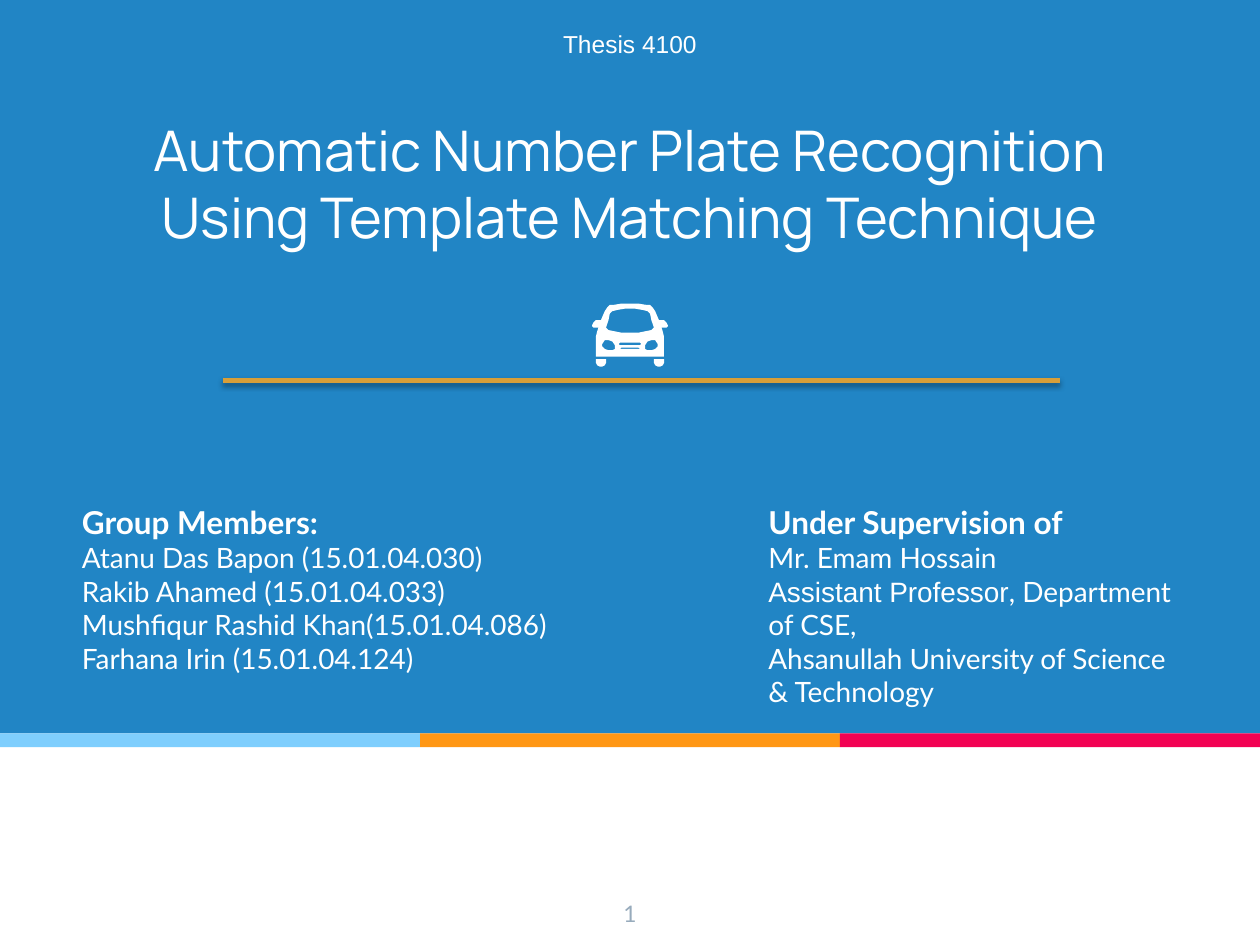
from collections import namedtuple
from dataclasses import dataclass

from lxml import etree
from pptx import Presentation
from pptx import util as u
from pptx.dml.color import RGBColor
from pptx.enum import shapes, text
from pptx.oxml import ns

Box = namedtuple("Box", "left top width height")


@dataclass(frozen=True)
class Theme:
    blue: str = "2185C5"
    white: str = "FFFFFF"
    rule: str = "D89F39"
    number: str = "97ABBC"
    stripes: tuple = ("7ECEFD", "FF9715", "F20253")
    title_font: str = "Manrope"
    body_font: str = "Lato"
    plain_font: str = "Arial"
    title_size: int = 32
    heading_size: int = 18
    body_size: int = 16
    label_size: int = 14
    number_size: int = 13


THEME = Theme()

# Car outlines in hundredths of an inch from the top centre of the car.
# The right half of each symmetric outline is given, from top to bottom.
CAR_BODY = [(0, 0), (7, 0), (13, 1), (16, 1), (18, 3), (20, 6), (23, 13), (27, 13),
            (29, 15), (30, 17), (30, 18), (29, 19), (25, 19), (26, 22), (27, 26), (27, 42)]
WINDSCREEN = [(0, 4), (4, 4), (10, 5), (14, 6), (16, 8), (17, 13), (19, 19),
              (17, 21), (12, 22), (7, 23), (0, 23)]
GRILLE_BARS = [[(8, 31), (9, 32), (8, 33)], [(7, 35), (8, 35.5), (7, 36)]]
HEADLIGHT = [(17, 29), (20, 29), (22, 32), (22, 34), (20, 36), (17, 37),
             (14, 37), (12, 35.5), (12, 33), (14, 30)]
WHEEL = [(19, 44), (19, 47), (20, 49), (22, 50), (24, 50), (26, 49), (27, 47), (27, 44)]


def inches(box):
    return [u.Inches(length) for length in box]


def style_run(run, size, font, color=THEME.white, bold=False):
    run.font.size = u.Pt(size)
    run.font.name = font
    run.font.bold = bold
    run.font.color.rgb = RGBColor.from_string(color)


def style_paragraph(para, size, font, color=THEME.white, bold=False,
                    align=text.PP_ALIGN.LEFT):
    para.alignment = align
    para.space_before = u.Pt(0)
    for run in para.runs:
        style_run(run, size, font, color, bold)


def fill_plain(shape, color):
    shape.shadow.inherit = False
    shape.fill.solid()
    shape.fill.fore_color.rgb = RGBColor.from_string(color)
    shape.line.fill.background()


def place(shape, box):
    shape.left, shape.top, shape.width, shape.height = inches(box)


def add_background(page, box):
    """Blue panel with a row of equal stripes along its lower edge."""
    stripe_height = 0.11
    panel = page.shapes.add_shape(shapes.MSO_SHAPE.RECTANGLE, *inches(box))
    fill_plain(panel, THEME.blue)
    width = box.width / len(THEME.stripes)
    for index, color in enumerate(THEME.stripes):
        stripe_box = Box(box.left + index * width, box.top + box.height, width, stripe_height)
        stripe = page.shapes.add_shape(shapes.MSO_SHAPE.RECTANGLE, *inches(stripe_box))
        fill_plain(stripe, color)


def fill_title(title, box):
    place(title, box)
    frame = title.text_frame
    frame.text = "Automatic Number Plate Recognition Using Template Matching Technique"
    frame.auto_size = text.MSO_AUTO_SIZE.NONE
    frame.vertical_anchor = text.MSO_ANCHOR.BOTTOM
    frame.margin_top = frame.margin_bottom = u.Inches(0.1)
    style_paragraph(frame.paragraphs[0], THEME.title_size, THEME.title_font,
                    align=text.PP_ALIGN.CENTER)


def fill_members(members, box):
    place(members, box)
    frame = members.text_frame
    frame.text = "\n".join(["Group Members:",
                            "Atanu Das Bapon (15.01.04.030)",
                            "Rakib Ahamed (15.01.04.033)",
                            "Mushfiqur Rashid Khan(15.01.04.086)",
                            "Farhana Irin (15.01.04.124)"])
    frame.auto_size = text.MSO_AUTO_SIZE.NONE
    frame.vertical_anchor = text.MSO_ANCHOR.TOP
    frame.margin_left = u.Inches(0.14)
    frame.margin_top = u.Inches(0.1)
    heading, *names = frame.paragraphs
    style_paragraph(heading, THEME.heading_size, THEME.body_font, bold=True)
    for para in names:
        style_paragraph(para, THEME.body_size, THEME.body_font)


def add_supervisor(page, box):
    frame = page.shapes.add_textbox(*inches(box)).text_frame
    frame.word_wrap = True
    frame.text = "Under Supervision of"
    style_paragraph(frame.paragraphs[0], THEME.heading_size, THEME.body_font, bold=True)
    para = frame.add_paragraph()
    pieces = [("Mr. Emam Hossain", THEME.body_font, True),
              ("Assistant Professor", THEME.plain_font, False),
              (", Department of CSE,", THEME.body_font, True),
              ("Ahsanullah University of Science & Technology", THEME.body_font, False)]
    for words, font, breaks_after in pieces:
        run = para.add_run()
        run.text = words
        style_run(run, THEME.body_size, font)
        if breaks_after:
            para.add_line_break()


def add_label(page, box, words, size, font, color, margin):
    """One centred line of text."""
    frame = page.shapes.add_textbox(*inches(box)).text_frame
    frame.word_wrap = True
    frame.margin_top = u.Inches(margin)
    frame.text = words
    style_paragraph(frame.paragraphs[0], size, font, color, align=text.PP_ALIGN.CENTER)


def add_rule(page, box):
    left, top, width, height = inches(box)
    rule = page.shapes.add_connector(shapes.MSO_CONNECTOR.STRAIGHT,
                                     left, top, left + width, top + height)
    rule.line.color.rgb = RGBColor.from_string(THEME.rule)
    rule.line.width = u.Pt(3)
    effects = etree.SubElement(rule._element.spPr, ns.qn("a:effectLst"))
    shadow = etree.SubElement(effects, ns.qn("a:outerShdw"), blurRad=str(u.Pt(3.1)),
                              dist=str(u.Pt(1.8)), dir="5400000", rotWithShape="0")
    color = etree.SubElement(shadow, ns.qn("a:srgbClr"), val="000000")
    etree.SubElement(color, ns.qn("a:alpha"), val="35000")


def mirror(points):
    return [(-x, y) for x, y in reversed(points)]


def add_outline(page, box, contours):
    """Draw contours as one white shape; later contours cut holes in the first."""
    (start_x, start_y), *_ = contours[0]
    builder = page.shapes.build_freeform(start_x, start_y, scale=u.Inches(0.01))
    for index, contour in enumerate(contours):
        if index:
            builder.move_to(*contour[0])
        builder.add_line_segments(contour[1:], close=True)
    origin_x = u.Inches(box.left + box.width / 2)
    fill_plain(builder.convert_to_shape(origin_x, u.Inches(box.top)), THEME.white)


def add_car(page, box):
    symmetric = [CAR_BODY, WINDSCREEN, *GRILLE_BARS]
    contours = [half + mirror(half) for half in symmetric]
    add_outline(page, box, contours + [HEADLIGHT, mirror(HEADLIGHT)])
    for wheel in (WHEEL, mirror(WHEEL)):
        add_outline(page, box, [wheel])


def build_title_page(deck, box):
    page = deck.slides.add_slide(deck.slide_layouts[0])
    title, members = page.placeholders
    add_background(page, Box(box.left, box.top, box.width, 5.82))
    for placeholder in (title, members):
        page.shapes._spTree.append(placeholder._element)  # bring in front of the panel
    fill_title(title, Box(0.75, 0.39, 8.5, 1.69))
    fill_members(members, Box(0.51, 3.89, 4.14, 1.5))
    add_label(page, Box(box.left, 7.04, box.width, 0.46), "1",
              THEME.number_size, THEME.body_font, THEME.number, margin=0.1)
    add_label(page, Box(4.22, 0.18, 1.56, 0.34), "Thesis 4100",
              THEME.label_size, THEME.plain_font, THEME.white, margin=0.05)
    add_supervisor(page, Box(6, 3.94, 3.49, 1.75))
    add_rule(page, Box(1.77, 3.02, 6.64, 0))
    add_car(page, Box(4.7, 2.41, 0.6, 0.5))


def main():
    deck = Presentation()
    deck.slide_width, deck.slide_height = u.Inches(10), u.Inches(7.5)
    build_title_page(deck, Box(0, 0, 10, 7.5))
    deck.save("out.pptx")


if __name__ == "__main__":
    main()
